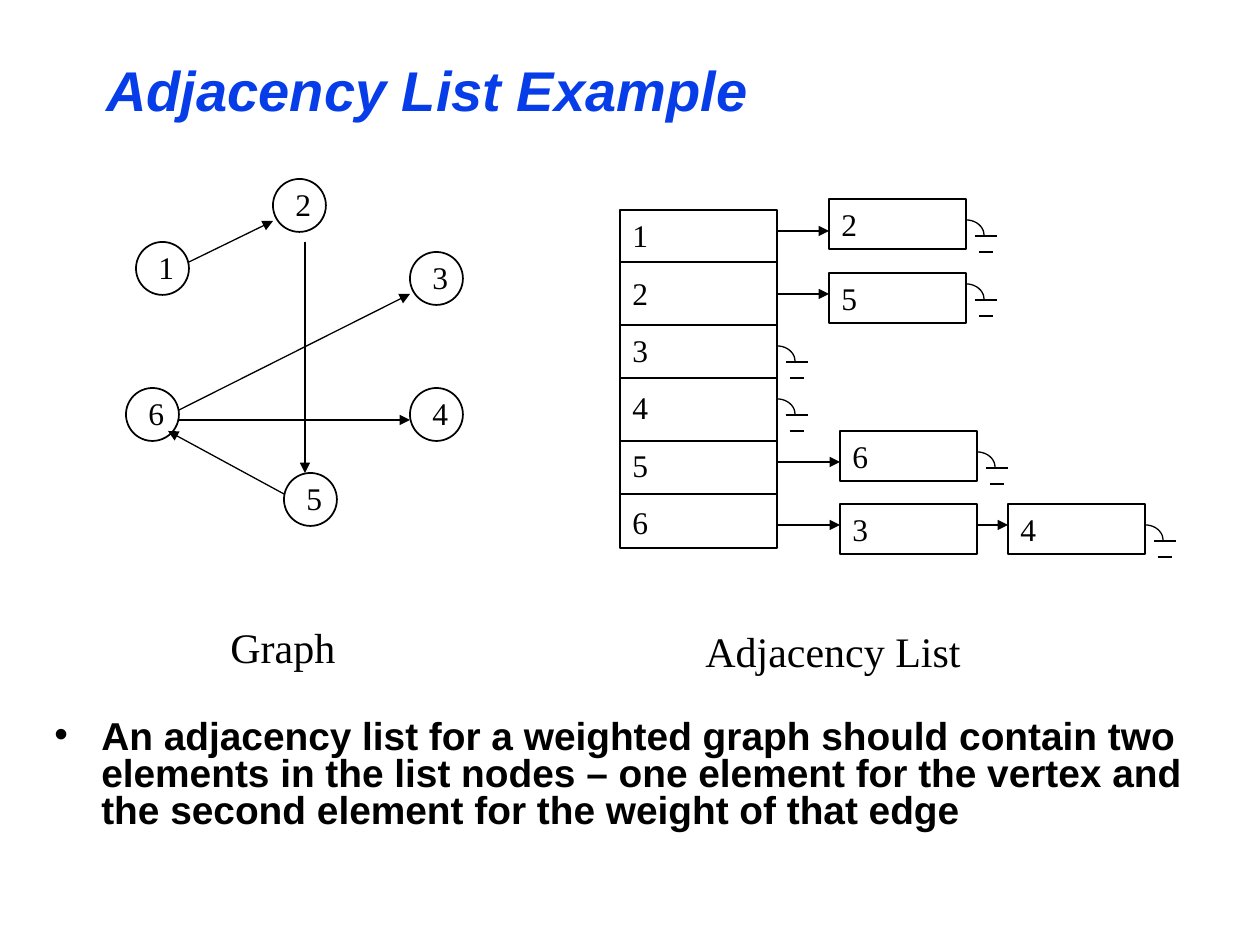
import math

from lxml import etree
from pptx import Presentation
from pptx.dml.color import RGBColor
from pptx.enum.shapes import MSO_CONNECTOR, MSO_SHAPE
from pptx.enum.text import MSO_ANCHOR, PP_ALIGN
from pptx.oxml.ns import qn
from pptx.util import Inches, Pt

OVAL, RECTANGLE = MSO_SHAPE.OVAL, MSO_SHAPE.RECTANGLE
STRAIGHT = MSO_CONNECTOR.STRAIGHT
TOP, MIDDLE = MSO_ANCHOR.TOP, MSO_ANCHOR.MIDDLE
LEFT = PP_ALIGN.LEFT
BLACK = RGBColor(0x00, 0x00, 0x00)
BLUE = RGBColor(0x06, 0x3D, 0xE8)
SANS, SERIF = "Arial", "Times New Roman"
EMU_PER_PX = 914400 / 126

# Content: places and lengths in px
TITLE = "Adjacency List Example"
NOTE = ("An adjacency list for a weighted graph should contain two elements in "
        "the list nodes – one element for the vertex and the second element "
        "for the weight of that edge")
CAPTIONS = [("Graph", (218, 615, 140, 63)), ("Adjacency List", (693, 619, 292, 63))]

NODE_SIZE = 53
NODES = {"1": (136, 242), "2": (273, 179), "5": (284, 473),
         "6": (126, 388), "4": (410, 388), "3": (410, 252)}
EDGES = [((189, 262), (273, 221)), ((305, 242), (305, 473)),
         ((179, 410), (410, 294)), ((179, 420), (410, 420)),
         ((284, 494), (168, 431))]

ARRAY_LEFT, ARRAY_TOP, ARRAY_WIDTH, ARRAY_HEIGHT = 620, 210, 157, 338
DIVIDERS = [262, 325, 378, 441, 494]
CELL_WIDTH, CELL_HEIGHT = 137, 50
# For each vertex: link height, ground height, and its cells as (text, left, top)
CHAINS = {
    "1": (231, 220, [("2", 829, 199)]),
    "2": (294, 284, [("5", 829, 273)]),
    "3": (346, 346, []),
    "4": (399, 399, []),
    "5": (462, 452, [("6", 840, 431)]),
    "6": (525, 525, [("3", 840, 504), ("4", 1008, 504)]),
}
ARC_WIDTH, ARC_HEIGHT, ARC_STEPS = 18, 15, 10
GROUND_BARS = [(9, 31, 16), (13, 27, 32)]  # start, end, drop


def px(length):
    return round(length * EMU_PER_PX)


def write(shape, lines, size=18, font=SERIF, color=BLACK, bold=False,
          italic=False, before=0, spacing=None, anchor=TOP):
    frame = shape.text_frame
    frame.word_wrap = True
    frame.vertical_anchor = anchor
    for index, line in enumerate(lines):
        para = frame.paragraphs[0] if index == 0 else frame.add_paragraph()
        para.alignment = LEFT
        para.space_before = Pt(before)
        if spacing:
            para.line_spacing = spacing
        span = para.add_run()
        span.text = line
        span.font.size, span.font.name = Pt(size), font
        span.font.bold, span.font.italic = bold, italic
        span.font.color.rgb = color
    return frame


def add_text(page, area, text, **style):
    box = page.shapes.add_textbox(*map(px, area))
    return write(box, [text], **style)


def outline(shape, width=1):
    shape.shadow.inherit = False
    shape.fill.background()
    shape.line.color.rgb = BLACK
    shape.line.width = Pt(width)
    return shape


def add_outlined(page, kind, *area):
    return outline(page.shapes.add_shape(kind, *map(px, area)))


def add_line(page, start, end, arrow=False):
    line = page.shapes.add_connector(STRAIGHT, *map(px, start + end))
    line.line.color.rgb = BLACK
    line.line.width = Pt(0.75)
    properties = line._element.spPr
    if arrow:
        etree.SubElement(properties.find(qn("a:ln")), qn("a:tailEnd"), type="triangle")
    etree.SubElement(properties, qn("a:effectLst"))


def add_ground(page, left, top):
    angles = [math.pi / 2 * step / ARC_STEPS for step in range(ARC_STEPS + 1)]
    points = [(px(left + ARC_WIDTH * math.sin(angle)),
               px(top + ARC_HEIGHT * (1 - math.cos(angle)))) for angle in angles]
    builder = page.shapes.build_freeform(*points[0])
    builder.add_line_segments(points[1:], close=False)
    outline(builder.convert_to_shape(), 0.75)
    for start, end, drop in GROUND_BARS:
        add_line(page, (left + start, top + drop), (left + end, top + drop))


def add_graph(page):
    for name, (left, top) in NODES.items():
        add_outlined(page, OVAL, left, top, NODE_SIZE, NODE_SIZE)
        add_text(page, (left + 10, top, 42, 50), name)
    for start, end in EDGES:
        add_line(page, start, end, arrow=True)


def add_adjacency_list(page):
    array = add_outlined(page, RECTANGLE, ARRAY_LEFT, ARRAY_TOP, ARRAY_WIDTH, ARRAY_HEIGHT)
    write(array, CHAINS, before=11.2)
    array_right = ARRAY_LEFT + ARRAY_WIDTH
    for y in DIVIDERS:
        add_line(page, (ARRAY_LEFT, y), (array_right, y))
    for link_y, ground_y, cells in CHAINS.values():
        right = array_right
        for text, left, top in cells:
            cell = add_outlined(page, RECTANGLE, left, top, CELL_WIDTH, CELL_HEIGHT)
            write(cell, [text], before=11.2)
            add_line(page, (right, link_y), (left, link_y), arrow=True)
            right = left + CELL_WIDTH
        add_ground(page, right, ground_y)


def add_note(page):
    frame = add_text(page, (42, 714, 1187, 158), NOTE, size=22.2, font=SANS,
                     bold=True, before=6, spacing=0.8)
    properties = frame.paragraphs[0]._p.get_or_add_pPr()
    indent = px(47)
    properties.set("marL", str(indent))
    properties.set("indent", str(-indent))
    bullet_color = etree.SubElement(properties, qn("a:buClr"))
    etree.SubElement(bullet_color, qn("a:srgbClr"), val=str(BLACK))
    etree.SubElement(properties, qn("a:buFont"), typeface=SANS)
    etree.SubElement(properties, qn("a:buChar"), char="•")


def main():
    deck = Presentation()
    deck.slide_width, deck.slide_height = Inches(10), Inches(7.5)
    page = deck.slides.add_slide(deck.slide_layouts[6])
    add_text(page, (94, 42, 1071, 94), TITLE, size=32, font=SANS, color=BLUE,
             bold=True, italic=True, anchor=MIDDLE)
    add_graph(page)
    add_adjacency_list(page)
    for text, area in CAPTIONS:
        add_text(page, area, text, size=24)
    add_note(page)
    deck.save("out.pptx")


if __name__ == "__main__":
    main()
